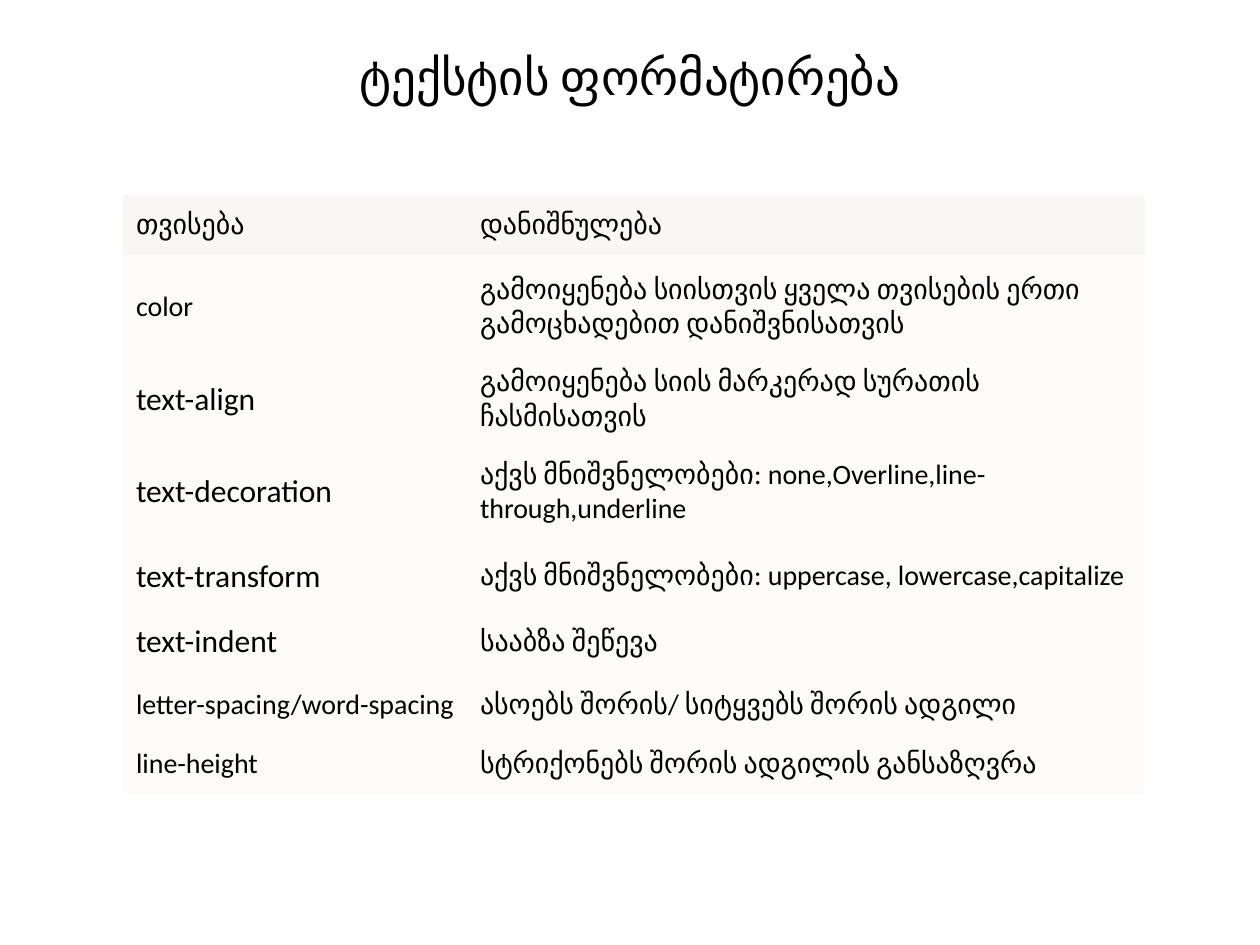
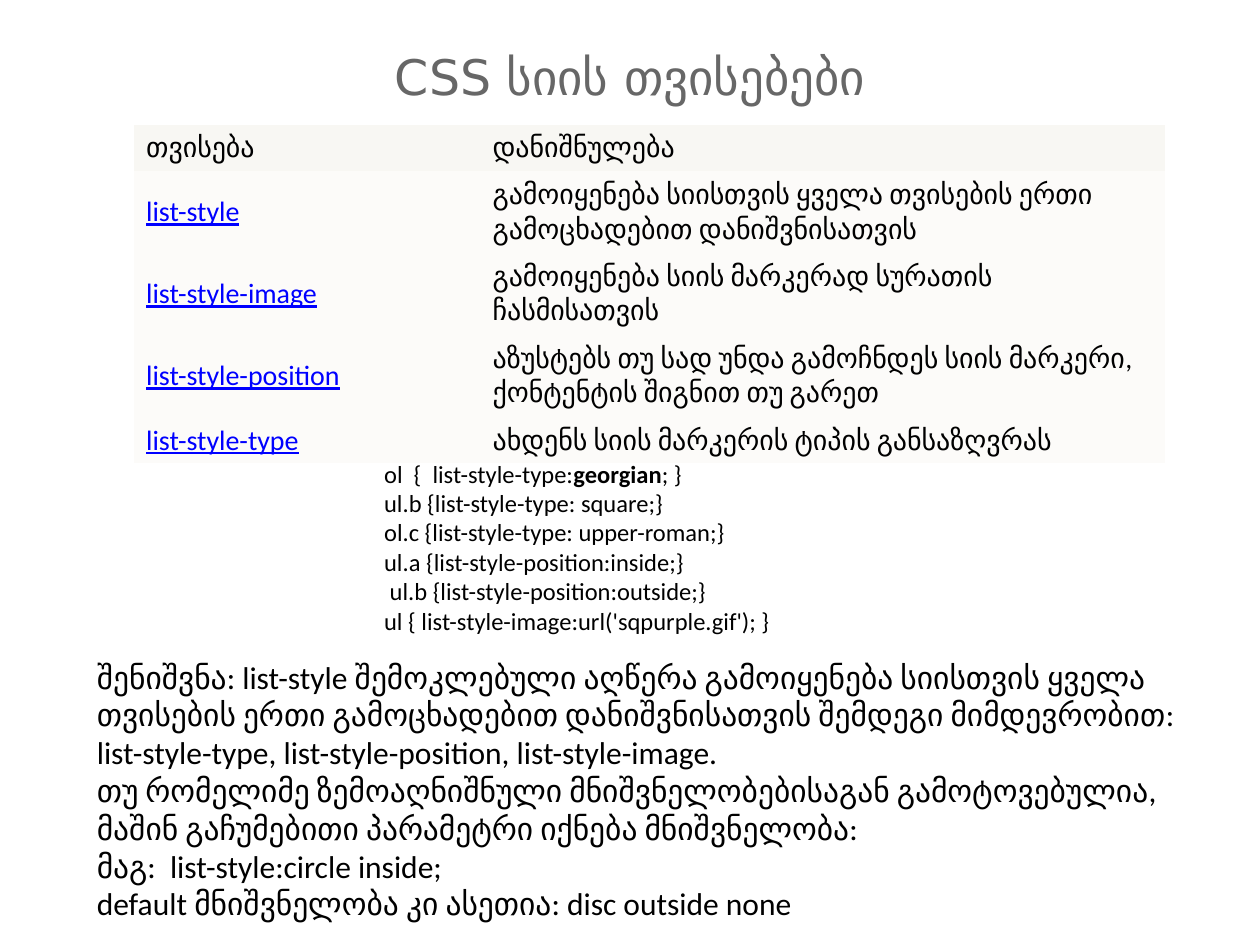
import pptx
import pptx.dml.color
import pptx.enum.text
import pptx.util

WIDTH, HEIGHT = 10, 7.5
COLUMNS, ROWS = 100, 75
BODY_FONT = "Calibri"
BLACK, GREY, LINK = "000000", "676767", "0000FF"
HEADER_FILL, BODY_FILL = "F8F7F3", "FCFBF9"
PLAIN_TABLE_STYLE = "{2D5ABB26-0587-4C30-8999-92F81FD0307C}"
MIDDLE = pptx.enum.text.MSO_ANCHOR.MIDDLE
CENTER = pptx.enum.text.PP_ALIGN.CENTER

HEADER = ("თვისება", "დანიშნულება")
SHORTHAND_USE = "გამოიყენება სიისთვის ყველა თვისების ერთი გამოცხადებით დანიშვნისათვის"
IMAGE_USE = "გამოიყენება სიის მარკერად სურათის ჩასმისათვის"

TEXT_PROPERTIES = [
    ("color", SHORTHAND_USE, 16, 8.2),
    ("text-align", IMAGE_USE, 18, 6.5),
    ("text-decoration", "აქვს მნიშვნელობები: none,Overline,line-through,underline", 18, 8.2),
    ("text-transform", "აქვს მნიშვნელობები: uppercase, lowercase,capitalize", 18, 5.2),
    ("text-indent", "სააბზა შეწევა", 18, 5.2),
    ("letter-spacing/word-spacing", "ასოებს შორის/ სიტყვებს შორის ადგილი", 16, 4.75),
    ("line-height", "სტრიქონებს შორის ადგილის განსაზღვრა", 16, 4.75),
]

LIST_PROPERTIES = [
    ("list-style", SHORTHAND_USE, 16, 6.5),
    ("list-style-image", IMAGE_USE, 16, 6.5),
    ("list-style-position",
     "აზუსტებს თუ სად უნდა გამოჩნდეს სიის მარკერი, ქონტენტის შიგნით თუ გარეთ", 16, 6.5),
    ("list-style-type", "ახდენს სიის მარკერის ტიპის განსაზღვრას", 16, 3.6),
]

CSS_RULES = [
    [("ol  {  list-style-type:", False), ("georgian", True), ("; }", False)],
    "ul.b {list-style-type: square;}\vol.c {list-style-type: upper-roman;}",
    "ul.a {list-style-position:inside;}",
    " ul.b {list-style-position:outside;}",
    "ul { list-style-image:url('sqpurple.gif'); }",
]

REMARKS = [
    "შენიშვნა: list-style შემოკლებული აღწერა გამოიყენება სიისთვის ყველა თვისების ერთი "
    "გამოცხადებით დანიშვნისათვის შემდეგი მიმდევრობით:",
    "list-style-type, list-style-position, list-style-image.",
    "თუ რომელიმე ზემოაღნიშნული მნიშვნელობებისაგან გამოტოვებულია, "
    "მაშინ გაჩუმებითი პარამეტრი იქნება მნიშვნელობა:",
    "მაგ:  list-style:circle inside;",
    "default მნიშვნელობა კი ასეთია: disc outside none",
]


def color(hex_string):
    return pptx.dml.color.RGBColor.from_string(hex_string)


def across(columns):
    return pptx.util.Inches(columns * WIDTH / COLUMNS)


def down(rows):
    return pptx.util.Inches(rows * HEIGHT / ROWS)


class Deck:
    def __init__(self):
        self.presentation = pptx.Presentation()
        self.presentation.slide_width = across(COLUMNS)
        self.presentation.slide_height = down(ROWS)
        self.slide = None

    def add_slide(self, heading, font=BODY_FONT, ink=BLACK):
        self.slide = self.presentation.slides.add_slide(self.presentation.slide_layouts[6])
        title = self.text([heading], 5, 3, 90, 6.1, 28, font, ink)
        title.vertical_anchor = MIDDLE
        title.paragraphs[0].alignment = CENTER

    def style(self, paragraph, size, font=BODY_FONT, ink=BLACK):
        paragraph.font.name = font
        paragraph.font.size = pptx.util.Pt(size)
        paragraph.font.color.rgb = color(ink)

    def text(self, lines, left, top, width, height, size, font=BODY_FONT, ink=BLACK):
        frame = self.slide.shapes.add_textbox(
            across(left), down(top), across(width), down(height)).text_frame
        frame.word_wrap = True
        for index, line in enumerate(lines):
            paragraph = frame.add_paragraph() if index else frame.paragraphs[0]
            if isinstance(line, str):
                paragraph.text = line
            else:
                for words, bold in line:
                    run = paragraph.add_run()
                    run.text = words
                    run.font.bold = bold
            self.style(paragraph, size, font, ink)
        return frame

    def cell(self, cell, words, size, fill, linked=False):
        cell.text = words
        cell.vertical_anchor = MIDDLE
        cell.fill.solid()
        cell.fill.fore_color.rgb = color(fill)
        paragraph = cell.text_frame.paragraphs[0]
        self.style(paragraph, size, ink=LINK if linked else BLACK)
        if linked:
            paragraph.font.underline = True

    def property_table(self, properties, left, top, widths, header_height, linked=False):
        entries = [(*HEADER, 16, header_height)] + properties
        height = sum(entry[-1] for entry in entries)
        table = self.slide.shapes.add_table(
            len(entries), len(widths), across(left), down(top),
            across(sum(widths)), down(height)).table
        table.first_row = table.horz_banding = False
        table._tbl.tblPr[0].text = PLAIN_TABLE_STYLE
        for column, width in zip(table.columns, widths):
            column.width = across(width)
        for index, (name, purpose, name_size, row_height) in enumerate(entries):
            fill = BODY_FILL if index else HEADER_FILL
            table.rows[index].height = down(row_height)
            self.cell(table.cell(index, 0), name, name_size, fill, linked and index > 0)
            self.cell(table.cell(index, 1), purpose, 16, fill)


def main():
    deck = Deck()

    deck.add_slide("ტექსტის ფორმატირება")
    deck.property_table(TEXT_PROPERTIES, 9.8, 15.5, (27.3, 53.8), 4.75)

    deck.add_slide("CSS სიის თვისებები", "DejaVu Sans", GREY)
    deck.property_table(LIST_PROPERTIES, 10.6, 9.9, (27.5, 54.4), 3.7, linked=True)
    deck.text(CSS_RULES, 29.5, 35.9, 36.2, 15.1, 14)
    deck.text(REMARKS, 6.7, 51.7, 89.8, 19.9, 18)

    deck.presentation.save("out.pptx")


if __name__ == "__main__":
    main()
